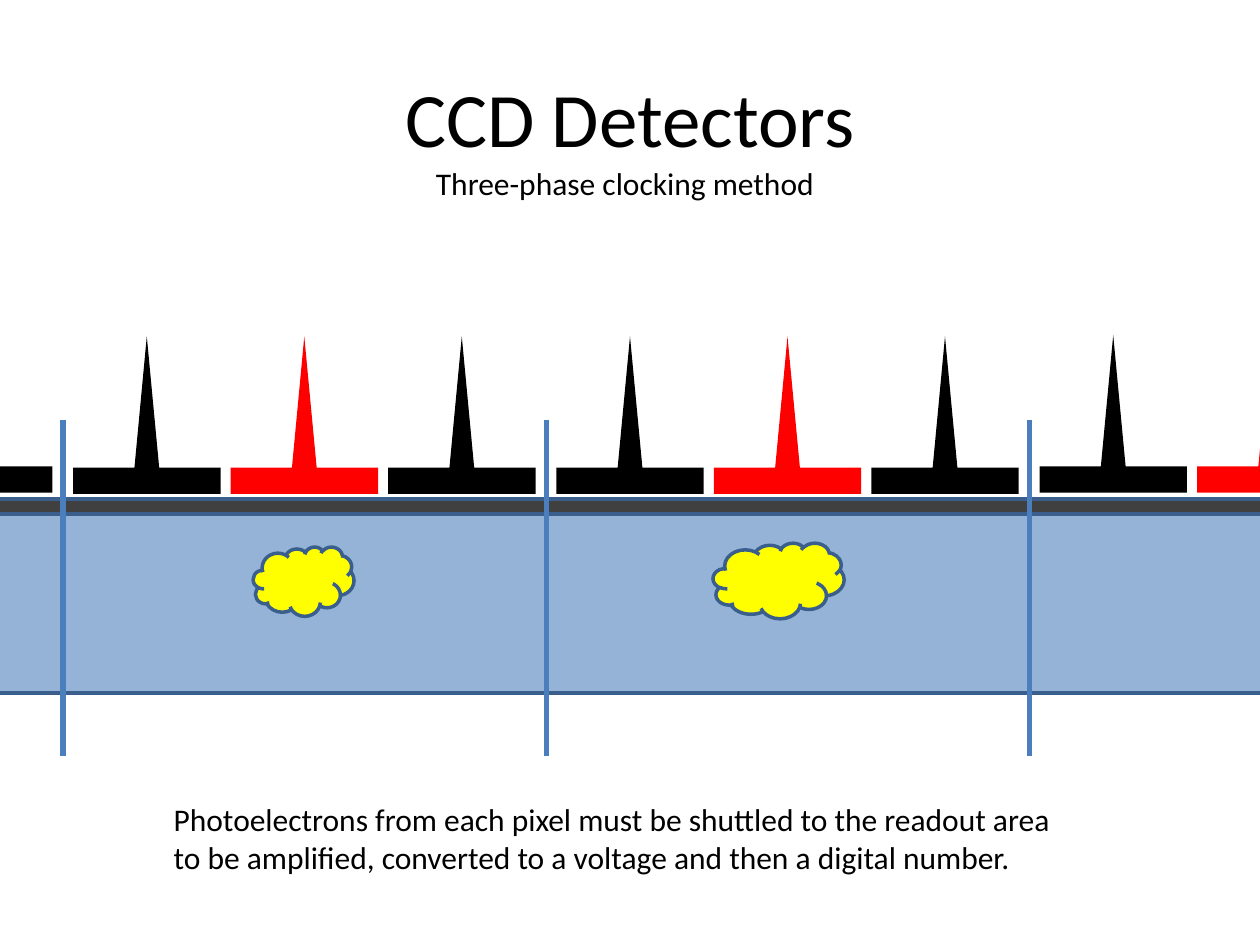
from dataclasses import dataclass

from lxml import etree
from pptx import Presentation
from pptx.dml.color import RGBColor
from pptx.enum.shapes import MSO_CONNECTOR, MSO_SHAPE
from pptx.enum.text import MSO_ANCHOR, PP_ALIGN
from pptx.oxml.ns import qn
from pptx.util import Inches, Pt

RECT, CLOUD = MSO_SHAPE.RECTANGLE, MSO_SHAPE.CLOUD
CALLOUT = MSO_SHAPE.LEFT_ARROW_CALLOUT
STRAIGHT = MSO_CONNECTOR.STRAIGHT
LEFT, CENTER = PP_ALIGN.LEFT, PP_ALIGN.CENTER
MIDDLE, TOP = MSO_ANCHOR.MIDDLE, MSO_ANCHOR.TOP


@dataclass(frozen=True)
class Theme:
    font: str = "Calibri"
    title: int = 44
    body: int = 18
    ink: str = "000000"
    active: str = "FF0000"
    silicon: str = "95B3D7"
    oxide: str = "404040"
    charge: str = "FFFF00"
    edge: str = "3A5F8C"
    border: str = "4B7EBC"


THEME = Theme()

# Pixel grid, in inches
FIRST, PITCH, PHASE = 0.5, 3.835, 1.25
GAP = 0.04


def color(code):
    return RGBColor.from_string(code)


def place(shape, box):
    shape.left, shape.top, shape.width, shape.height = map(Inches, box)


def write(shape, text, size, align, anchor):
    frame = shape.text_frame
    frame.text = text
    frame.word_wrap = True
    frame.vertical_anchor = anchor
    line = frame.paragraphs[0]
    line.alignment = align
    font = line.runs[0].font
    font.name, font.size = THEME.font, Pt(size)
    font.color.rgb = color(THEME.ink)


def add_text(slide, text, box, align):
    shape = slide.shapes.add_textbox(*map(Inches, box))
    write(shape, text, THEME.body, align, TOP)


def add_form(slide, kind, box, fill, edge=None):
    shape = slide.shapes.add_shape(kind, *map(Inches, box))
    shape.shadow.inherit = False
    shape.fill.solid()
    shape.fill.fore_color.rgb = color(fill)
    if edge:
        shape.line.color.rgb = color(edge)
        shape.line.width = Pt(2)
    else:
        shape.line.fill.background()
    return shape


def add_gate(slide, left, top, fill):
    gate = add_form(slide, CALLOUT, (left, top, PHASE, 1.17), fill)
    gate.rotation = 90
    for index, value in enumerate((0, 0.084, 0.89, 0.65)):
        gate.adjustments[index] = value


def add_border(slide, x):
    line = slide.shapes.add_connector(
        STRAIGHT, Inches(x), Inches(3.33), Inches(x), Inches(6))
    line.line.color.rgb = color(THEME.border)
    line.line.width = Pt(3)
    etree.SubElement(line._element.spPr, qn("a:effectLst"))


def add_gates(slide):
    # Three gates per pixel, the middle one active; skip those out of view
    for pixel in range(-1, 3):
        top = 2.71 if pixel in (0, 1) else 2.7
        for phase in range(3):
            left = FIRST + GAP + pixel * PITCH + phase * PHASE
            if -1 < left < 10:
                fill = THEME.active if phase == 1 else THEME.ink
                add_gate(slide, left, top, fill)


def main():
    deck = Presentation()
    deck.slide_width, deck.slide_height = Inches(10), Inches(7.5)
    slide = deck.slides.add_slide(deck.slide_layouts[5])

    # Headings
    title = slide.shapes.title
    place(title, (0.5, 0.3, 9, 1.25))
    write(title, "CCD Detectors", THEME.title, CENTER, MIDDLE)
    add_text(slide, "Three-phase clocking method",
             (2.67, 1.25, 4.58, 0.42), CENTER)

    # Silicon and oxide layers
    for top, height, fill in ((4.08, 1.42, THEME.silicon),
                              (3.96, 0.12, THEME.oxide)):
        add_form(slide, RECT, (-0.08, top, 10.42, height), fill, THEME.edge)

    # Gates and pixel borders
    add_gates(slide)
    for pixel in range(3):
        add_border(slide, FIRST + pixel * PITCH)

    # Charge clouds
    for box in ((2.01, 4.34, 0.8, 0.55), (5.66, 4.31, 1.04, 0.6)):
        add_form(slide, CLOUD, box, THEME.charge, THEME.edge)

    # Caption
    add_text(slide, "Photoelectrons from each pixel must be shuttled to the "
             "readout area to be amplified, converted to a voltage and then "
             "a digital number.", (1.28, 6.3, 7.33, 0.71), LEFT)

    deck.save("out.pptx")


if __name__ == "__main__":
    main()
